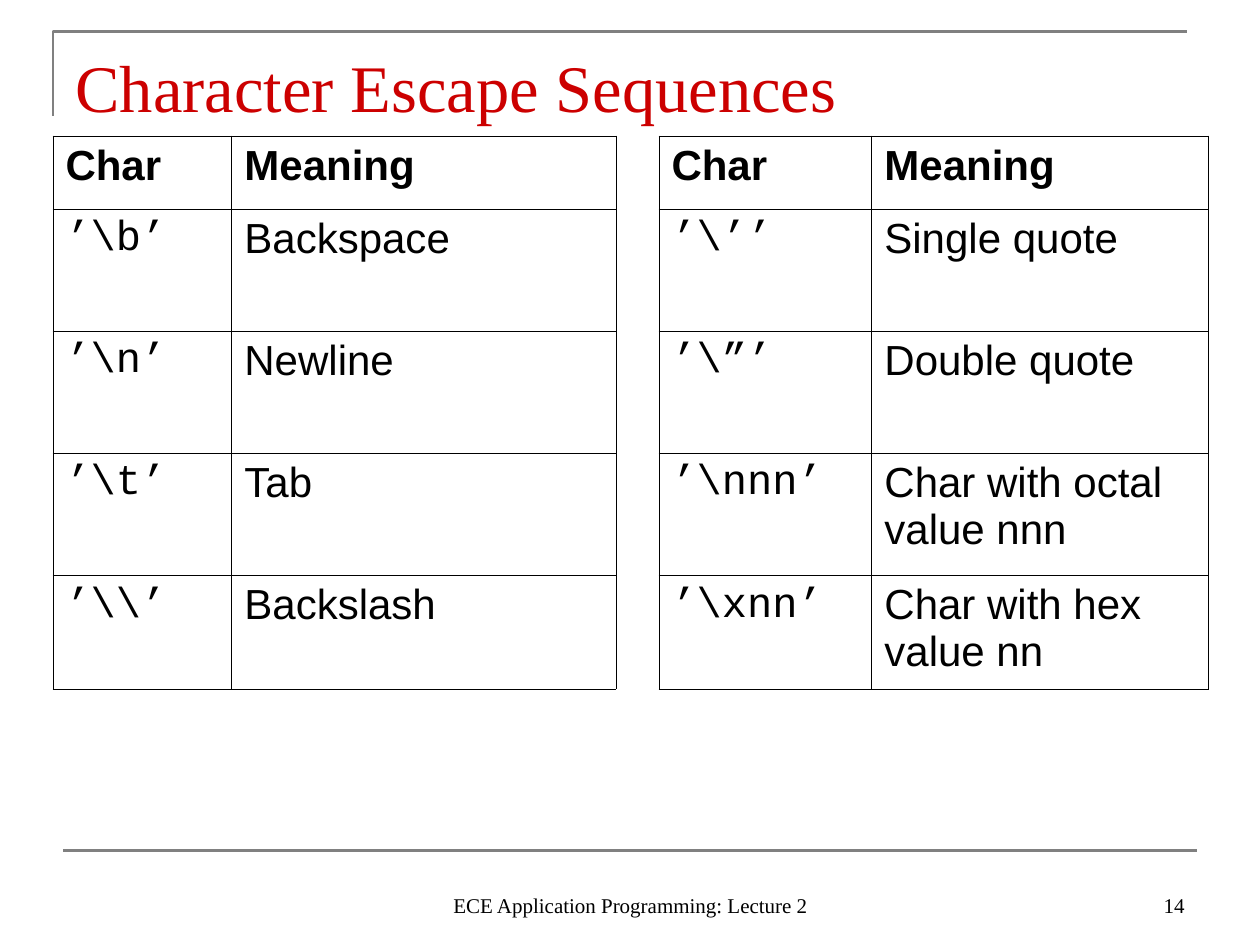
from lxml import etree
from pptx import Presentation
from pptx import util as u
from pptx.dml.color import RGBColor
from pptx.enum import shapes, text
from pptx.oxml import ns

SERIF, SANS, MONO = "Times New Roman", "Arial", "Courier New"
GREY, BLACK, RED = "808080", "000000", "CC0000"
COLUMNS = [1.42, 3.05, 0.34, 1.69, 2.67]
ROWS = [0.58, 0.97, 0.97, 0.97, 0.9]
SPACER = 2
ESCAPES = [
    ("Char", "Meaning", "", "Char", "Meaning"),
    (r"’\b’", "Backspace", "", r"’\’’", "Single quote"),
    (r"’\n’", "Newline", "", r"’\”’", "Double quote"),
    (r"’\t’", "Tab", "", r"’\nnn’", "Char with octal value nnn"),
    (r"’\\’", "Backslash", "", r"’\xnn’", "Char with hex value nn"),
]


def rgb(value):
    return RGBColor.from_string(value)


def inches(*lengths):
    return [u.Inches(n) for n in lengths]


def style(p, font, size, color=BLACK, bold=False, align=text.PP_ALIGN.LEFT):
    p.alignment = align
    p.font.name, p.font.size, p.font.bold = font, u.Pt(size), bold
    p.font.color.rgb = rgb(color)


def rule(shape):
    """Give a frame line its grey stroke and no shadow."""
    shape.line.color.rgb = rgb(GREY)
    shape.line.width = u.Pt(1.5)


def add_frame(s, left, top, width, drop):
    """Draw the corner above the title and the line above the footer."""
    builder = s.shapes.build_freeform(*inches(left, top + drop), scale=1.0)
    builder.add_line_segments(
        [inches(left, top), inches(left + width, top)], close=False)
    corner = builder.convert_to_shape()
    corner.fill.background()
    corner.shadow.inherit = False
    rule(corner)
    base = s.shapes.add_connector(
        shapes.MSO_CONNECTOR.STRAIGHT, *inches(0.5, 6.75, 0.5 + width, 6.75))
    rule(base)
    etree.SubElement(base._element.spPr, ns.qn("a:effectLst"))


def add_title(s, wording, left, top, width, height):
    title = s.shapes.title
    title.left, title.top, title.width, title.height = inches(left, top, width, height)
    tf = title.text_frame
    tf.text = wording
    tf.auto_size = text.MSO_AUTO_SIZE.NONE
    tf.vertical_anchor = text.MSO_ANCHOR.BOTTOM
    tf.margin_bottom = u.Inches(0.08)
    style(tf.paragraphs[0], SERIF, 38, RED)


def set_borders(cell, sides, visible):
    tcPr = cell._tc.get_or_add_tcPr()
    for side in sides:
        ln = etree.SubElement(tcPr, ns.qn(f"a:ln{side}"), w=str(u.Pt(0.45)))
        if visible:
            fill = etree.SubElement(ln, ns.qn("a:solidFill"))
            etree.SubElement(fill, ns.qn("a:srgbClr"), val=BLACK)
        else:
            etree.SubElement(ln, ns.qn("a:noFill"))


def add_escape_table(s, left, top):
    table = s.shapes.add_table(
        len(ROWS), len(COLUMNS),
        *inches(left, top, sum(COLUMNS), sum(ROWS))).table
    table.first_row = table.horz_banding = False
    for column, width in zip(table.columns, COLUMNS):
        column.width = u.Inches(width)
    for row, height in zip(table.rows, ROWS):
        row.height = u.Inches(height)
    for i, entries in enumerate(ESCAPES):
        for j, entry in enumerate(entries):
            cell = table.cell(i, j)
            set_borders(cell, "LR", True)
            set_borders(cell, "TB", j != SPACER)
            cell.fill.background()
            if j != SPACER:
                cell.text = entry
                is_code = i > 0 and j in (0, SPACER + 1)
                style(cell.text_frame.paragraphs[0],
                      MONO if is_code else SANS, 24, bold=i == 0)


def add_footer(s, wording, align, left, width):
    tf = s.shapes.add_textbox(*inches(left, 6.83, width, 0.5)).text_frame
    tf.word_wrap = True
    tf.vertical_anchor = text.MSO_ANCHOR.BOTTOM
    tf.text = wording
    style(tf.paragraphs[0], SERIF, 12, align=align)


def main():
    prs = Presentation()
    prs.slide_width, prs.slide_height = inches(10, 7.5)
    s = prs.slides.add_slide(prs.slide_layouts[5])
    add_frame(s, 0.42, 0.25, 9, 0.67)
    add_title(s, "Character Escape Sequences", 0.5, 0.3, 9, 0.78)
    add_escape_table(s, 0.42, 1.08)
    add_footer(s, "ECE Application Programming: Lecture 2",
               text.PP_ALIGN.CENTER, 3.42, 3.17)
    add_footer(s, "14", text.PP_ALIGN.RIGHT, 7.17, 2.33)
    prs.save("out.pptx")


if __name__ == "__main__":
    main()
